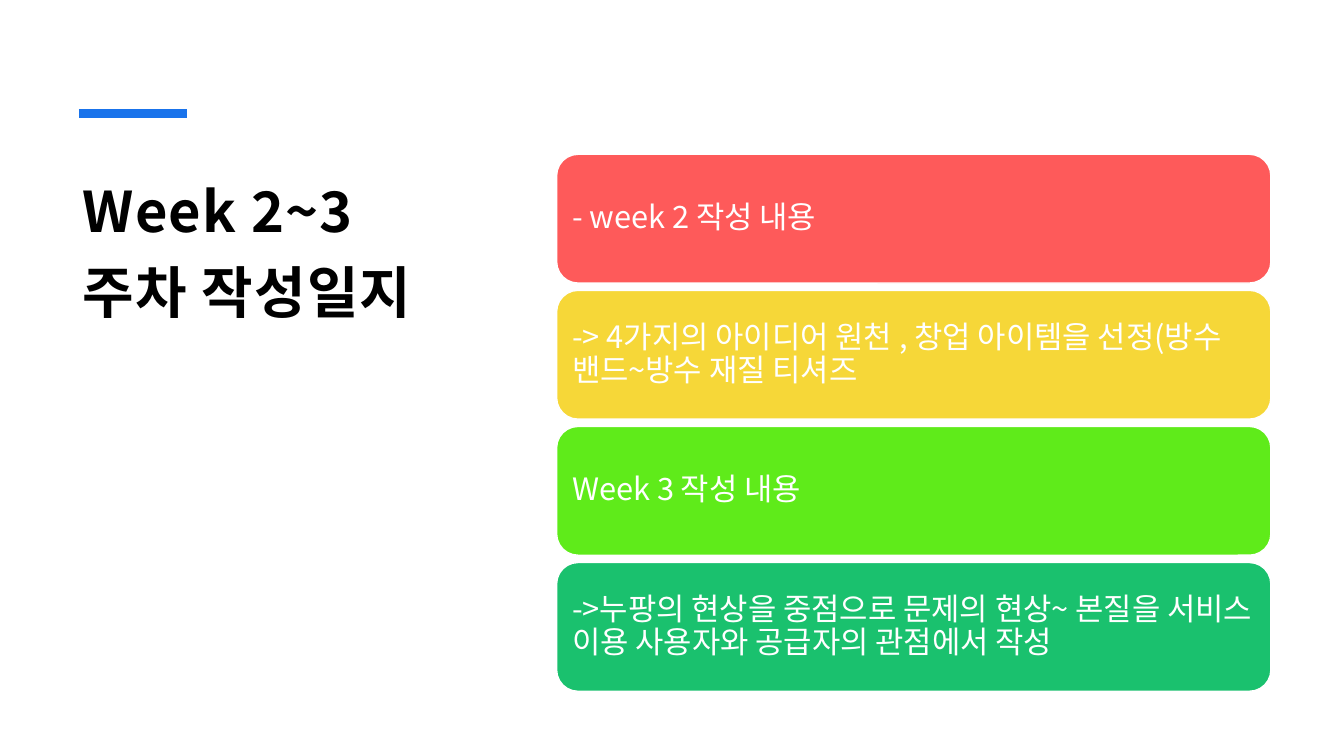
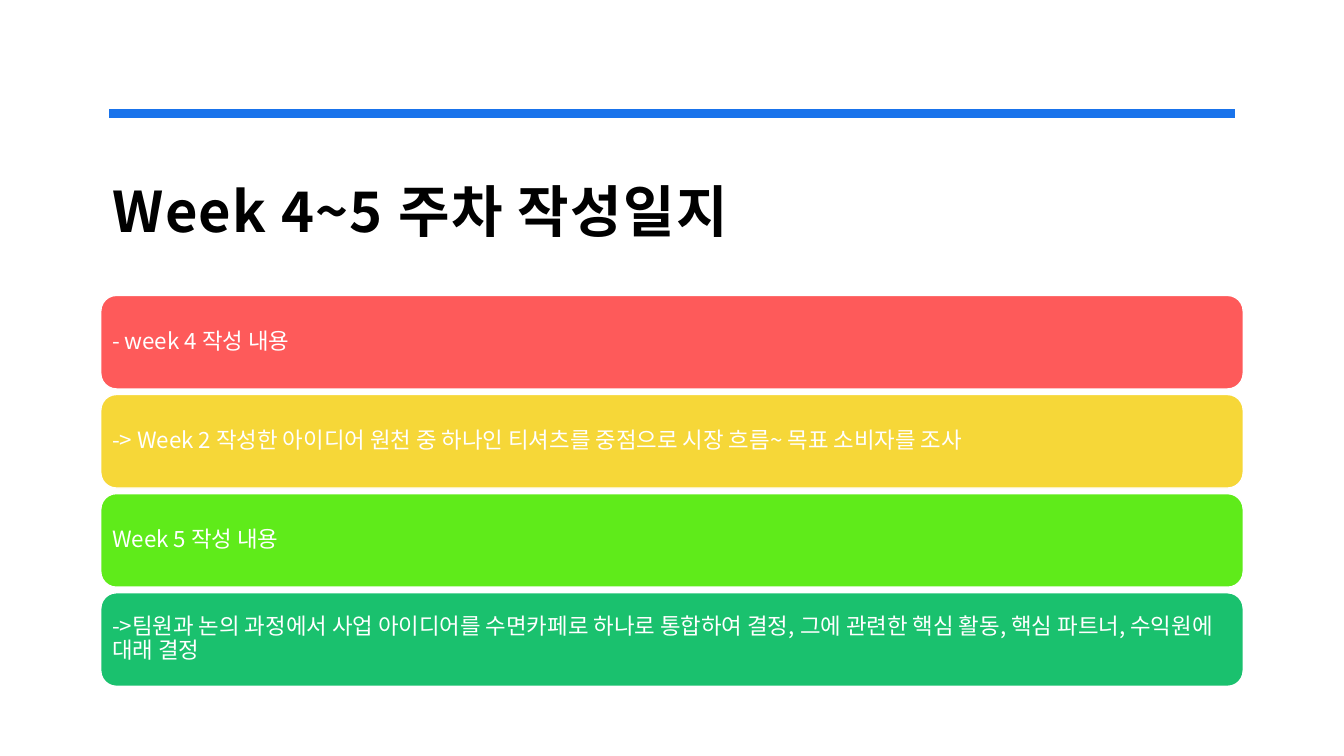
from dataclasses import dataclass

from lxml import etree
from pptx import Presentation
from pptx.dml.color import RGBColor
from pptx.enum.shapes import MSO_CONNECTOR, MSO_SHAPE
from pptx.enum.text import MSO_ANCHOR, PP_ALIGN
from pptx.oxml.ns import qn
from pptx.util import Pt

STRAIGHT = MSO_CONNECTOR.STRAIGHT
ROUNDED = MSO_SHAPE.ROUNDED_RECTANGLE
TOP, MIDDLE = MSO_ANCHOR.TOP, MSO_ANCHOR.MIDDLE
LEFT = PP_ALIGN.LEFT


@dataclass(frozen=True)
class Theme:
    font: str = "Noto Sans CJK KR"
    ink: str = "000000"
    paper: str = "FFFFFF"
    accent: str = "1973EB"
    cards: tuple = ("FE5A5A", "F6D738", "5FEB1A", "1AC16E")
    title_size: float = 40
    title_tracking: int = 90  # hundredths of a point
    rule_weight: float = 6
    card_border: float = 1


class Journal:
    """Holds the theme, the deck and the current page."""

    def __init__(self, theme):
        self.theme = theme
        self.deck = Presentation()
        self.deck.slide_width, self.deck.slide_height = Pt(960), Pt(540)
        self.page = None

    def new_page(self):
        self.page = self.deck.slides.add_slide(self.deck.slide_layouts[6])

    def set_text(self, shape, text, size, color, insets, anchor, spacing, bold=False, tracking=0):
        frame = shape.text_frame
        frame.word_wrap = True
        frame.vertical_anchor = anchor
        (frame.margin_left, frame.margin_top,
         frame.margin_right, frame.margin_bottom) = (Pt(inset) for inset in insets)
        para = frame.paragraphs[0]
        para.alignment = LEFT
        para.line_spacing = spacing
        span = para.add_run()
        span.text = text
        font = span.font
        font.name, font.size, font.bold = self.theme.font, Pt(size), bold
        font.color.rgb = RGBColor.from_string(color)
        # East Asian typeface and letter spacing
        properties = span._r.get_or_add_rPr()
        etree.SubElement(properties, qn("a:ea"), typeface=self.theme.font)
        if tracking:
            properties.set("spc", str(tracking))

    def title(self, text, left, width, height):
        theme = self.theme
        box = self.page.shapes.add_textbox(Pt(left), Pt(108), Pt(width), Pt(height))
        self.set_text(box, text, theme.title_size, theme.ink, (8.64, 8.64, 8.64, 7.2),
                      TOP, 1.2, bold=True, tracking=theme.title_tracking)

    def rule(self, left, right):
        y = Pt(81)
        line = self.page.shapes.add_connector(STRAIGHT, Pt(left), y, Pt(right), y)
        line.line.color.rgb = RGBColor.from_string(self.theme.accent)
        line.line.width = Pt(self.theme.rule_weight)
        etree.SubElement(line._element.spPr, qn("a:effectLst"))

    def cards(self, texts, left, top, width, height, gap, size, inset):
        theme = self.theme
        for row, (text, color) in enumerate(zip(texts, theme.cards)):
            card = self.page.shapes.add_shape(
                ROUNDED, Pt(left), Pt(top + row * (height + gap)), Pt(width), Pt(height))
            card.shadow.inherit = False
            card.fill.solid()
            card.fill.fore_color.rgb = RGBColor.from_string(color)
            card.line.color.rgb = RGBColor.from_string(theme.paper)
            card.line.width = Pt(theme.card_border)
            self.set_text(card, text, size, theme.paper, (inset,) * 4, MIDDLE, 0.9)


def main():
    journal = Journal(Theme())

    # Weeks 2 and 3: title beside the cards
    journal.new_page()
    journal.title("Week 2~3 주차 작성일지", 50.4, 289.4, 308.9)
    journal.rule(56.4, 133.4)
    journal.cards(
        ("- week 2 작성 내용",
         "-> 4가지의 아이디어 원천 , 창업 아이템을 선정(방수 밴드~방수 재질 티셔즈",
         "Week 3 작성 내용",
         "->누팡의 현상을 중점으로 문제의 현상~ 본질을 서비스 이용 사용자와 공급자의 관점에서 작성"),
        left=397.6, top=110.2, width=510.2, height=92, gap=5.2, size=22, inset=6.6)

    # Weeks 4 and 5: title above the cards
    journal.new_page()
    journal.title("Week 4~5 주차 작성일지", 72, 816, 90)
    journal.rule(78, 882)
    journal.cards(
        ("- week 4 작성 내용",
         "-> Week 2 작성한 아이디어 원천 중 하나인 티셔츠를 중점으로 시장 흐름~ 목표 소비자를 조사",
         "Week 5 작성 내용",
         "->팀원과 논의 과정에서 사업 아이디어를 수면카페로 하나로 통합하여 결정, "
         "그에 관련한 핵심 활동, 핵심 파트너, 수익원에 대래 결정"),
        left=72, top=211, width=816, height=66.8, gap=4, size=16, inset=4.8)

    journal.deck.save("out.pptx")


if __name__ == "__main__":
    main()
